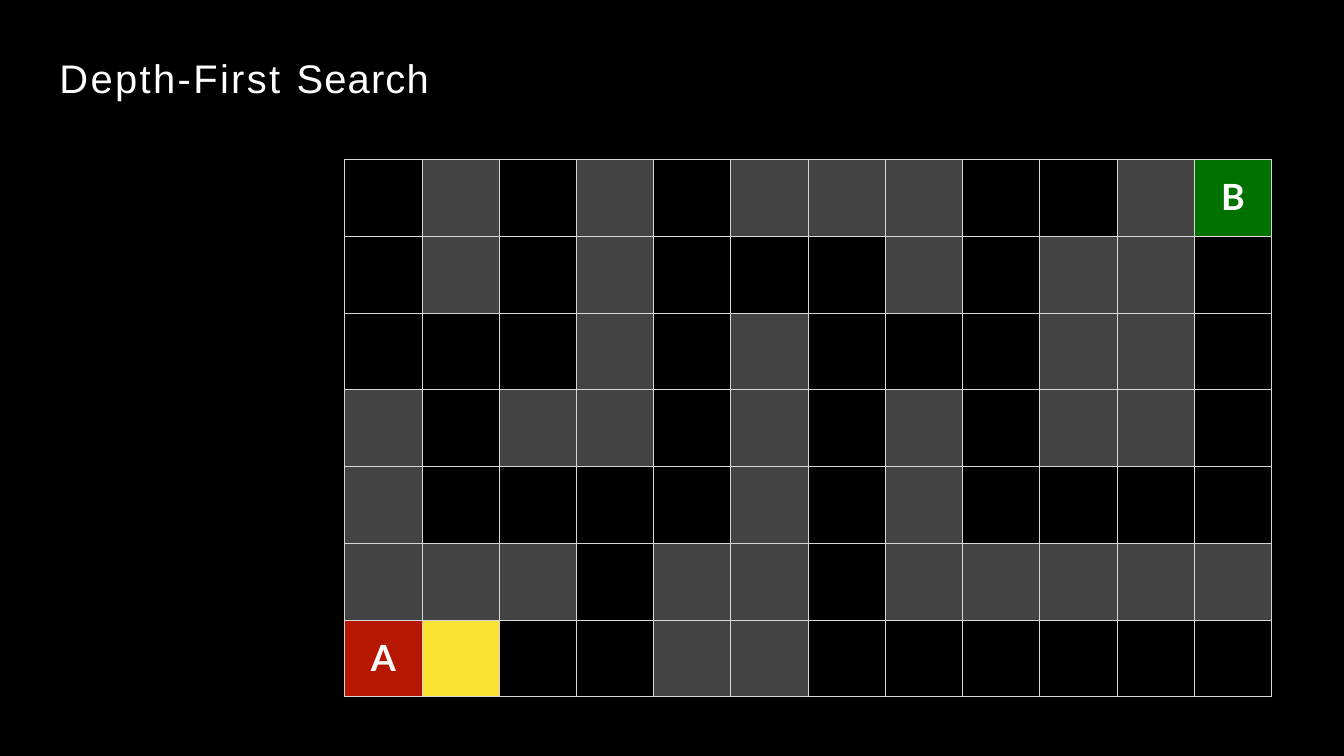
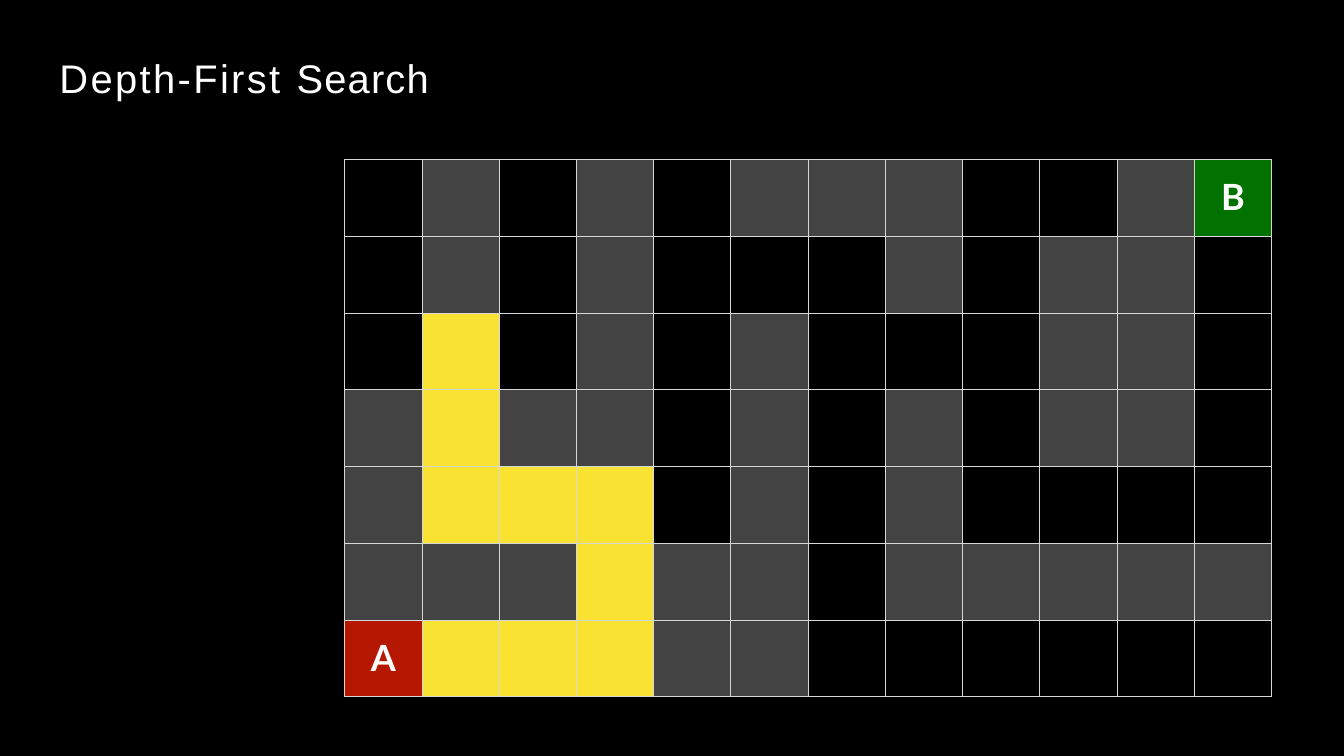
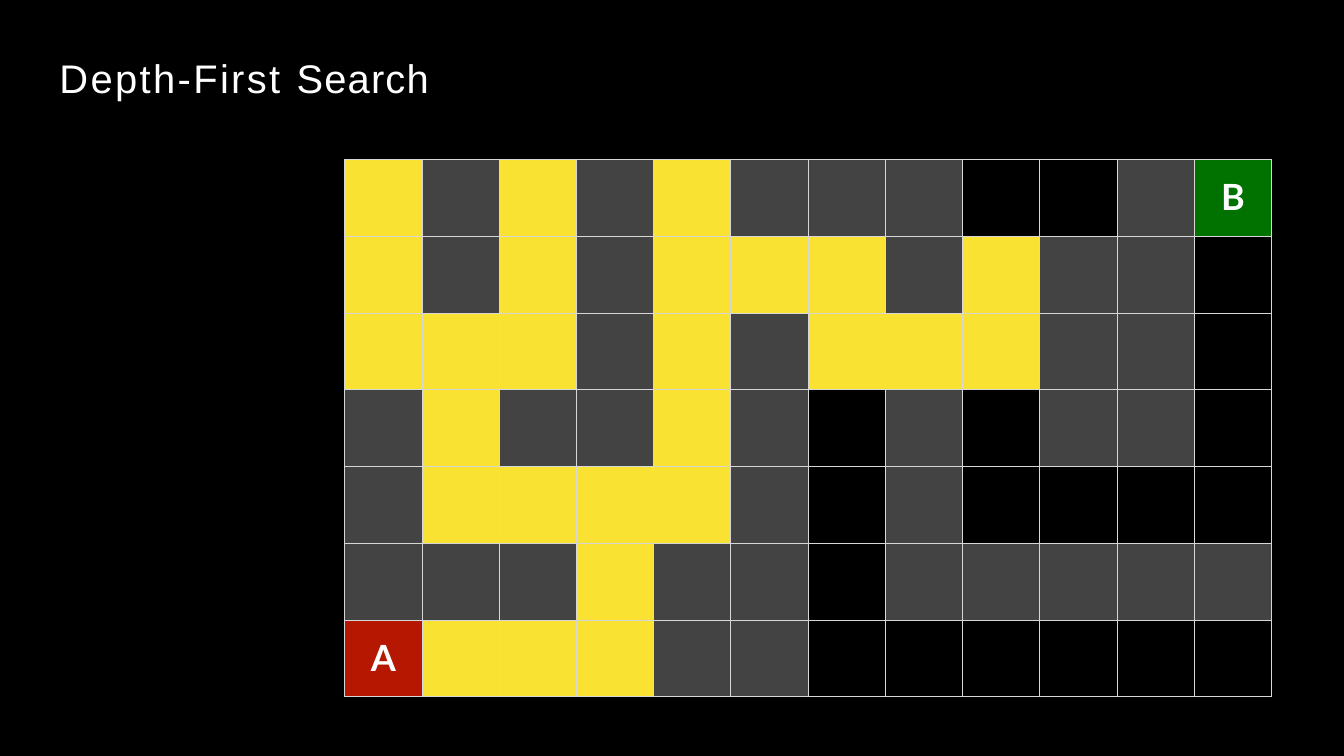
"""Build three slides that follow a depth-first search through a maze."""
from lxml.etree import SubElement
from pptx import Presentation
from pptx.dml.color import RGBColor
from pptx.enum.text import MSO_ANCHOR as Anchor, MSO_AUTO_SIZE as AutoSize, PP_ALIGN as Align
from pptx.oxml.ns import qn
from pptx.util import Pt

BLACK = RGBColor(0x00, 0x00, 0x00)
WHITE = RGBColor(0xFF, 0xFF, 0xFF)
GRID_GRAY = RGBColor(0xD6, 0xD7, 0xD6)
WALL_GRAY = RGBColor(0x43, 0x43, 0x43)
START_RED = RGBColor(0xB5, 0x17, 0x00)
GOAL_GREEN = RGBColor(0x01, 0x71, 0x00)
EXPLORED_YELLOW = RGBColor(0xFA, 0xE2, 0x32)

TITLE_PARTS = [("Depth-First ", 2.8), ("Search", 1.4)]
STEPS = (1, 2, 3)
MAZE = [
    "3#3#3###..#B",
    "3#3#333#3##.",
    "323#3#333##.",
    "#2##3#.#.##.",
    "#2223#.#....",
    "###2##.#####",
    "A122##......",
]
MARK_FILLS = {"#": WALL_GRAY, "A": START_RED, "B": GOAL_GREEN}
LETTER_SPACING = {"A": 4.2, "B": 1.2}

SLIDE_WIDTH, SLIDE_HEIGHT = 1583.28, 890.64
TITLE_BOX = (49, 31, 931, 128)
MAZE_LEFT, MAZE_TOP = 406, 188
CELL_WIDTH, CELL_HEIGHT = 91, 90.4


def add_text(paragraph, text, size, font_name, spacing, bold=False):
    """Add a white run with the given letter spacing in points."""
    run = paragraph.add_run()
    run.text = text
    run.font.size = Pt(size)
    run.font.name = font_name
    run.font.bold = bold
    run.font.color.rgb = WHITE
    run.font._element.set("spc", str(round(spacing * 100)))


def format_title(title):
    """Place the title placeholder and write its text."""
    title.left, title.top, title.width, title.height = map(Pt, TITLE_BOX)
    frame = title.text_frame
    frame.word_wrap = True
    frame.auto_size = AutoSize.NONE
    frame.vertical_anchor = Anchor.TOP
    frame.margin_left, frame.margin_top = Pt(21), Pt(31.7)
    frame.margin_right = frame.margin_bottom = 0
    paragraph = frame.paragraphs[0]
    paragraph.alignment = Align.LEFT
    for text, spacing in TITLE_PARTS:
        add_text(paragraph, text, 47, "Arial", spacing)


def add_borders(cell):
    """Draw a thin line on each side of a cell."""
    properties = cell._tc.get_or_add_tcPr()
    for side in ("a:lnL", "a:lnR", "a:lnT", "a:lnB"):
        line = SubElement(properties, qn(side), w=str(Pt(1)))
        fill = SubElement(line, qn("a:solidFill"))
        SubElement(fill, qn("a:srgbClr"), val=str(GRID_GRAY))


def format_cell(cell, mark, step):
    """Colour a maze cell as it stands at the given step."""
    add_borders(cell)
    explored = mark.isdigit() and int(mark) <= step
    color = EXPLORED_YELLOW if explored else MARK_FILLS.get(mark)
    if color is None:
        cell.fill.background()
    else:
        cell.fill.solid()
        cell.fill.fore_color.rgb = color
    if mark in LETTER_SPACING:
        cell.margin_left = cell.margin_right = cell.margin_bottom = 0
        cell.margin_top = Pt(18.4)
        paragraph = cell.text_frame.paragraphs[0]
        paragraph.alignment = Align.CENTER
        add_text(paragraph, mark, 42.5, "Lato", LETTER_SPACING[mark], bold=True)


def add_maze(slide, step):
    """Add the maze as a table."""
    row_count, column_count = len(MAZE), len(MAZE[0])
    table = slide.shapes.add_table(
        row_count, column_count, Pt(MAZE_LEFT), Pt(MAZE_TOP),
        Pt(column_count * CELL_WIDTH), Pt(row_count * CELL_HEIGHT)).table
    table.first_row = table.horz_banding = False
    for column in table.columns:
        column.width = Pt(CELL_WIDTH)
    for row, marks in zip(table.rows, MAZE):
        row.height = Pt(CELL_HEIGHT)
        for cell, mark in zip(row.cells, marks):
            format_cell(cell, mark, step)


def main():
    """Build and save the presentation."""
    presentation = Presentation()
    presentation.slide_width = Pt(SLIDE_WIDTH)
    presentation.slide_height = Pt(SLIDE_HEIGHT)
    background = presentation.slide_master.background.fill
    background.solid()
    background.fore_color.rgb = BLACK
    title_only = presentation.slide_layouts.get_by_name("Title Only")
    for step in STEPS:
        slide = presentation.slides.add_slide(title_only)
        format_title(slide.shapes.title)
        add_maze(slide, step)
    presentation.save("out.pptx")


if __name__ == "__main__":
    main()
